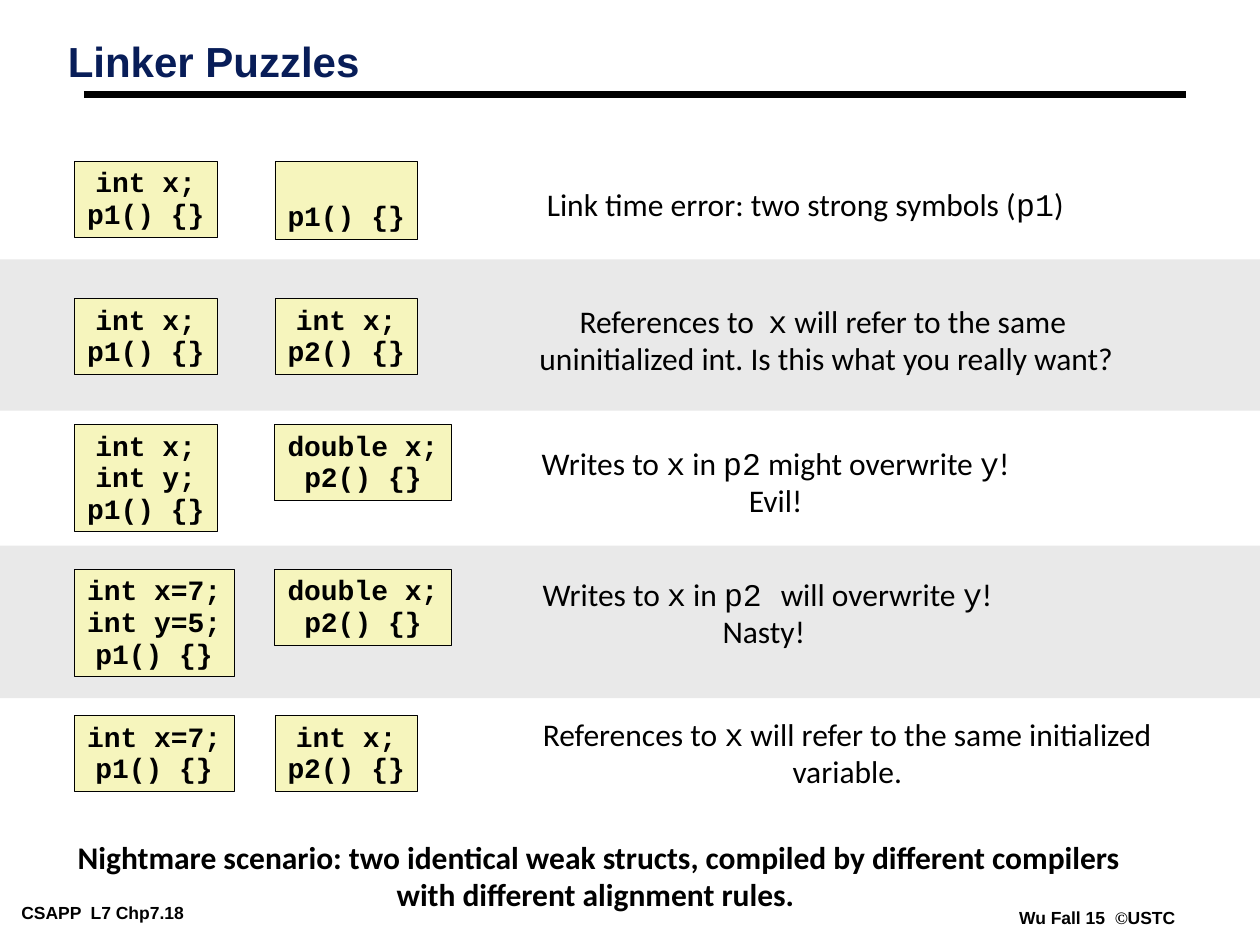
import pptx
import pptx.util
import pptx.dml.color
import pptx.enum.shapes
import pptx.enum.text
import pptx.oxml.ns
from lxml import etree

Pt = pptx.util.Pt
RGB = pptx.dml.color.RGBColor.from_string
ALIGN = pptx.enum.text.PP_ALIGN
ANCHOR = pptx.enum.text.MSO_ANCHOR
FIT = pptx.enum.text.MSO_AUTO_SIZE
RECTANGLE = pptx.enum.shapes.MSO_SHAPE.RECTANGLE

# Text between backticks is set in the style's second font.
TITLE = "Linker Puzzles"
PUZZLES = [
    {"top": 92.2, "modules": [["int x;", "p1() {}"], ["", "p1() {}"]],
     "answer": ["Link time error: two strong symbols (`p1`)"],
     "answer_at": (304.6, 103, 311, 28.8)},
    {"top": 170.6, "modules": [["int x;", "p1() {}"], ["int x;", "p2() {}"]],
     "answer": ["References to  `x` will refer to the same ",
                "uninitialized int. Is this what you really want?"],
     "answer_at": (300.2, 169.9, 344.2, 49.7)},
    {"top": 242.6, "modules": [["int x;", "int y;", "p1() {}"], ["double x;", "p2() {}"]],
     "answer": ["Writes to `x` in `p2` might overwrite `y`!", "Evil!"],
     "answer_at": (301.7, 251.3, 283, 49.7)},
    {"top": 325.4, "modules": [["int x=7;", "int y=5;", "p1() {}"], ["double x;", "p2() {}"]],
     "answer": ["Writes to `x` in `p2 `will overwrite `y`!", "Nasty! "],
     "answer_at": (302.4, 326.2, 272.2, 49.7)},
    {"top": 409, "modules": [["int x=7;", "p1() {}"], ["int x;", "p2() {}"]],
     "answer": ["References to `x` will refer to the same initialized", "variable."],
     "answer_at": (301.7, 406.1, 365, 49.7)},
]
NIGHTMARE = ["Nightmare scenario: two identical weak structs, compiled by different compilers",
             "with different alignment rules. "]
FOOTERS = [("CSAPP  L7 Chp7.18", (7.2, 513.4, 140.4, 15.8)),
           ("Wu Fall 15  `©`USTC", (577.4, 516.2, 99.4, 15.8))]
BANDS = [(148.3, 86.4), (311.8, 87.1)]

MODULE_LEFTS = (42.5, 157)
MODULE_INSETS = (7.2, 3.6)
CHARACTER_WIDTH, LINE_HEIGHT = 9.6, 18
BLANK_LINE_EXTRA = 1.4

THEME = {
    "black": "000000", "band": "E9E9E9", "module": "F6F5BD",
    "title": {"fonts": ["Arial"], "size": 24, "color": "081D58", "bold": True,
              "align": ALIGN.LEFT, "spacing": 0.87, "insets": (5, 2.2)},
    "code": {"fonts": ["Courier New"], "size": 16, "color": "000000", "bold": True,
             "align": ALIGN.CENTER, "spacing": 0.94, "insets": MODULE_INSETS},
    "answer": {"fonts": ["Calibri", "Courier New"], "size": 18, "color": "000000", "bold": False,
               "align": ALIGN.CENTER, "spacing": 0.98, "insets": (7.2, 3.6)},
    "footer": {"fonts": ["Arial", "Times New Roman"], "size": 10, "color": "000000", "bold": True,
               "align": ALIGN.LEFT, "spacing": 1.0, "insets": (5, 2.2)},
}
THEME["nightmare"] = {**THEME["answer"], "bold": True}


def write(frame, lines, style, **frame_format):
    across, down = map(Pt, style["insets"])
    frame_values = {"margin_left": across, "margin_right": across, "margin_top": down,
                    "margin_bottom": down, "word_wrap": False, **frame_format}
    for name, value in frame_values.items():
        setattr(frame, name, value)
    for index, line in enumerate(lines):
        paragraph = frame.add_paragraph() if index else frame.paragraphs[0]
        paragraph.alignment = style["align"]
        paragraph.line_spacing = style["spacing"]
        for piece, words in enumerate(line.split("`")):
            if words:
                run = paragraph.add_run()
                run.text = words
                font_values = {"name": style["fonts"][piece % 2], "size": Pt(style["size"]),
                               "bold": style["bold"]}
                for name, value in font_values.items():
                    setattr(run.font, name, value)
                run.font.color.rgb = RGB(style["color"])


def add_text(slide, lines, place, style, **frame_format):
    box = slide.shapes.add_textbox(*map(Pt, place))
    write(box.text_frame, lines, style,
          **{"auto_size": FIT.SHAPE_TO_FIT_TEXT, "vertical_anchor": ANCHOR.TOP, **frame_format})


def add_rectangle(slide, place, fill):
    rectangle = slide.shapes.add_shape(RECTANGLE, *map(Pt, place))
    rectangle.shadow.inherit = False
    rectangle.fill.solid()
    rectangle.fill.fore_color.rgb = RGB(fill)
    rectangle.line.fill.background()
    return rectangle


def add_module(slide, left, top, lines):
    """Size the box to its code; a blank first line is left as space above."""
    across, down = MODULE_INSETS
    width = 2 * across + CHARACTER_WIDTH * max(map(len, lines))
    height = 2 * down + LINE_HEIGHT * len(lines) + BLANK_LINE_EXTRA * lines.count("")
    module = add_rectangle(slide, (left, top, width, height), THEME["module"])
    module.line.color.rgb = RGB(THEME["black"])
    module.line.width = Pt(0.25)
    write(module.text_frame, [line for line in lines if line], THEME["code"],
          vertical_anchor=ANCHOR.BOTTOM)


def add_title_rule(slide):
    rule = slide.shapes.add_connector(pptx.enum.shapes.MSO_CONNECTOR.STRAIGHT,
                                      Pt(48), Pt(54), Pt(678), Pt(54))
    rule.line.color.rgb = RGB(THEME["black"])
    rule.line.width = Pt(4.5)
    etree.SubElement(rule._element.spPr, pptx.oxml.ns.qn("a:effectLst"))


def main():
    deck = pptx.Presentation()
    deck.slide_width, deck.slide_height = Pt(720), Pt(540)
    slide = deck.slides.add_slide(deck.slide_layouts[6])

    for footer, place in FOOTERS:
        add_text(slide, [footer], place, THEME["footer"])
    add_title_rule(slide)
    for top, height in BANDS:
        add_rectangle(slide, (0, top, 720, height), THEME["band"])
    add_text(slide, [TITLE], (33.8, 22.3, 686.2, 61.9), THEME["title"],
             word_wrap=True, auto_size=FIT.NONE)
    for puzzle in PUZZLES:
        for left, lines in zip(MODULE_LEFTS, puzzle["modules"]):
            add_module(slide, left, puzzle["top"], lines)
        add_text(slide, puzzle["answer"], puzzle["answer_at"], THEME["answer"])
    add_text(slide, NIGHTMARE, (36, 476.6, 612.7, 49.7), THEME["nightmare"])

    deck.save("out.pptx")


if __name__ == "__main__":
    main()
